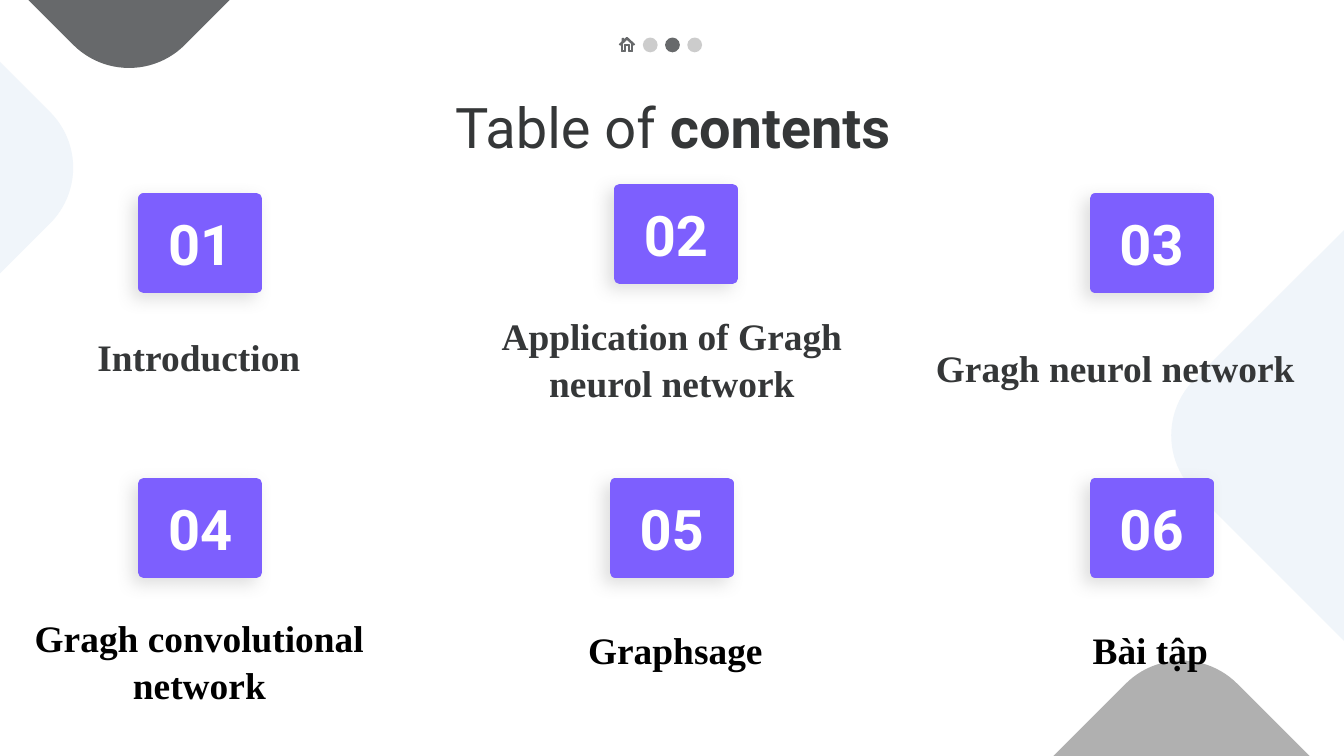
from pptx import Presentation
from pptx.dml.color import RGBColor as RGB
from pptx.enum.shapes import MSO_SHAPE as Kind
from pptx.enum.text import MSO_ANCHOR as Anchor, MSO_AUTO_SIZE as Auto, PP_ALIGN as Align
from pptx.oxml import parse_xml
from pptx.oxml.ns import qn
from pptx.util import Cm, Pt
from lxml.etree import SubElement as Sub

# Content: number, box (x, y), label, label box (x, y, w, h)
TITLE = [("Table of ", False), ("contents", True)]
TOP = [
    ("01", (2.72, 3.76), "Introduction", (-0.56, 6.05, 8.64, 1.37)),
    ("02", (11.71, 3.58), "Application of Gragh neurol network", (8.38, 6.53, 8.64, 1.37)),
    ("03", (20.7, 3.76), "Gragh neurol network", (16.76, 6.25, 8.64, 1.37)),
]
LOW = [
    ("04", (2.72, 9.14), "Gragh convolutional network", (0.2, 11.46, 7.14, 2.82)),
    ("05", (11.63, 9.14), "Graphsage", (10.72, 11.68, 4.09, 1.96)),
    ("06", (20.7, 9.14), "Bài tập", (20.4, 11.68, 3.56, 1.96)),
]
PADS = [(-2.03, -8.89, "gray"), (23.37, 3.76, "pale"),
        (-8.79, -1.3, "pale"), (17.86, 13.72, "mid")]
DOTS = ["mid", "gray", "mid"]
# Home icon contours, in tenths of a millimetre
HOME = [
    [(0, 13), (14, 0), (28, 13), (26, 14), (14, 3), (2, 14)],
    [(4, 13), (4, 26), (10, 26), (10, 15), (18, 15), (18, 26), (24, 26), (24, 13),
     (23, 13), (23, 25), (19, 25), (19, 14), (9, 14), (9, 25), (5, 25), (5, 13)],
    [(5, 2), (8, 2), (8, 4), (5, 7)],
]

THEME = {
    "gray": "67696B", "mid": "B0B0B0", "pale": "F0F5FA", "main": "7D5FFE",
    "ink": "353738", "black": "000000", "white": "FFFFFF",
    "head": "Roboto", "text": "Times New Roman", "big": 30, "small": 20,
}


def hue(name):
    return RGB.from_string(THEME[name])


def paint(shape, name, line=None):
    shape.shadow.inherit = False
    shape.fill.solid()
    shape.fill.fore_color.rgb = hue(name)
    if line:
        shape.line.color.rgb = hue(name)
        shape.line.width = Pt(line)
    else:
        shape.line.fill.background()


def write(shape, runs, face, size, color, inset=0.25, **form):
    frame = shape.text_frame
    base = {"word_wrap": True, "auto_size": Auto.NONE, "vertical_anchor": Anchor.TOP,
            "margin_left": Cm(0.25), "margin_right": Cm(0.25),
            "margin_top": Cm(inset), "margin_bottom": Cm(inset)}
    for key, val in {**base, **form.get("frame", {})}.items():
        setattr(frame, key, val)
    para = frame.paragraphs[0]
    for key, val in {"alignment": Align.CENTER, **form.get("para", {})}.items():
        setattr(para, key, val)
    for text, bold in runs:
        run = para.add_run()
        run.text = text
        style = {"name": THEME[face], "size": Pt(THEME[size]), "bold": bold}
        for key, val in style.items():
            setattr(run.font, key, val)
        run.font.color.rgb = hue(color)


def shade(shape):
    """Soft shadow and round corners on a number box."""
    Sub(shape.line._get_or_add_ln(), qn("a:round"))
    glow = shape._element.spPr.find(qn("a:effectLst"))
    glow.append(parse_xml(
        '<a:outerShdw xmlns:a="http://schemas.openxmlformats.org/drawingml/2006/main" '
        f'blurRad="{Pt(9)}" dist="{Pt(4.5)}" dir="{140 * 60000}" algn="bl" rotWithShape="0">'
        f'<a:srgbClr val="{THEME["mid"]}"><a:alpha val="40000"/></a:srgbClr></a:outerShdw>'))


deck = Presentation()
deck.slide_width, deck.slide_height = Cm(25.4), Cm(14.29)
slide = deck.slides.add_slide(deck.slide_layouts[5])
shapes = slide.shapes

# Corner pads
for x, y, name in PADS:
    pad = shapes.add_shape(Kind.ROUNDED_RECTANGLE, Cm(x), Cm(y), Cm(8.94), Cm(8.94))
    pad.rotation = 315
    paint(pad, name)

# Title
title = shapes.title
spot = {"left": 2.01, "top": 1.5, "width": 21.41, "height": 1.75}
for key, val in spot.items():
    setattr(title, key, Cm(val))
write(title, TITLE, "head", "big", "ink")

# Page dots and home icon
for i, name in enumerate(DOTS):
    dot = shapes.add_shape(Kind.OVAL, Cm(12.15 + 0.42 * i), Cm(0.71), Cm(0.28), Cm(0.28))
    paint(dot, name)
    if name == "mid":
        tint = dot._element.spPr.find(qn("a:solidFill"))[0]
        Sub(tint, qn("a:alpha"), val="64000")

pen = shapes.build_freeform(*HOME[0][0], scale=Cm(0.01))
for i, path in enumerate(HOME):
    if i:
        pen.move_to(*path[0])
    pen.add_line_segments(path[1:], close=True)
paint(pen.convert_to_shape(Cm(11.71), Cm(0.71)), "gray", 0.75)

# Number boxes and labels
for num, (x, y), label, area in TOP + LOW:
    box = shapes.add_shape(Kind.RECTANGLE, Cm(x), Cm(y), Cm(2.13), Cm(1.68))
    paint(box, "main", 6)
    shade(box)
    write(box, [(num, True)], "head", "big", "white",
          frame={"vertical_anchor": Anchor.MIDDLE})

    upper = y < 5
    note = shapes.add_textbox(*map(Cm, area))
    write(note, [(label, True)], "text", "small", "ink" if upper else "black",
          inset=0.25 if upper else 0.13,
          frame={"vertical_anchor": Anchor.BOTTOM if upper else Anchor.TOP},
          para={"line_spacing": 1.05,
                "alignment": Align.LEFT if num == "06" else Align.CENTER})

deck.save("out.pptx")
